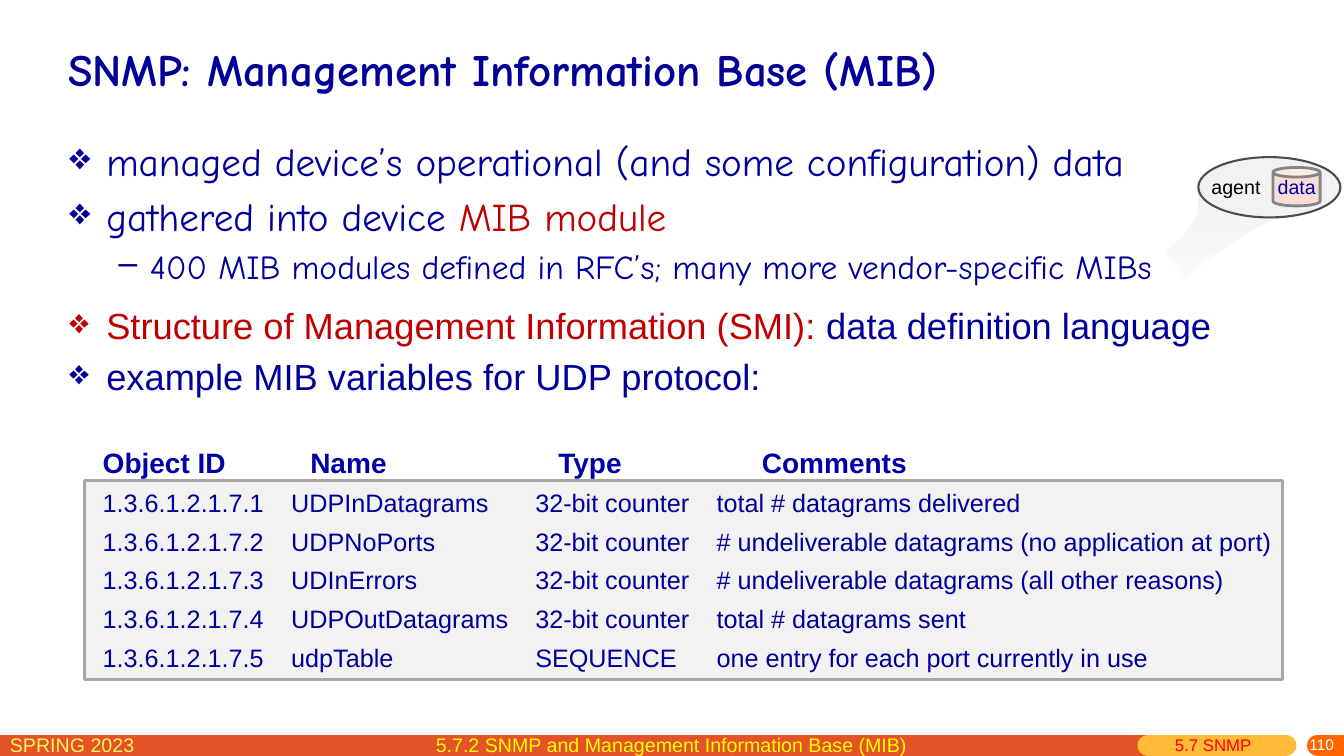
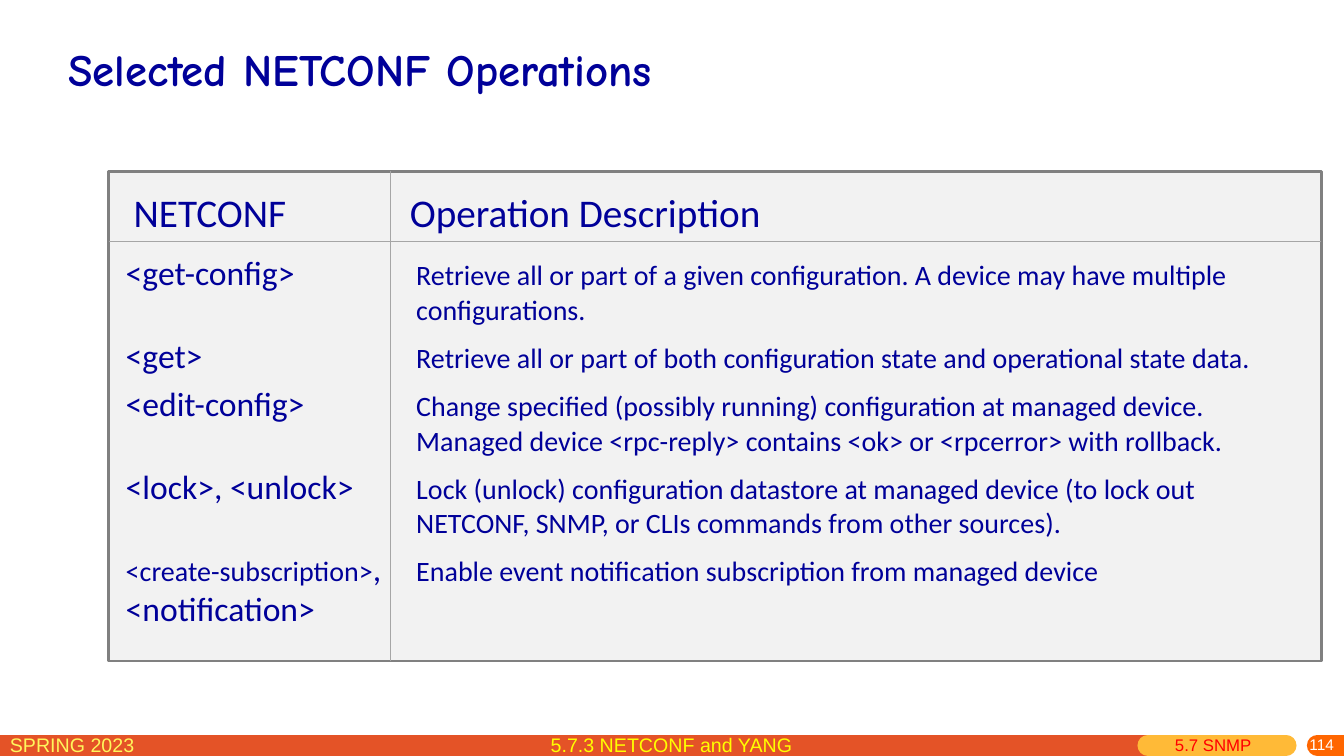
"""Build two slides on network management: the SNMP MIB and NETCONF operations."""
from lxml import etree
from pptx import Presentation
from pptx.dml.color import RGBColor
from pptx.enum.shapes import MSO_CONNECTOR, MSO_SHAPE
from pptx.enum.text import MSO_ANCHOR, PP_ALIGN
from pptx.oxml.ns import qn
from pptx.util import Cm, Pt

LINE = MSO_CONNECTOR.STRAIGHT
RECT, OVAL, CAN = MSO_SHAPE.RECTANGLE, MSO_SHAPE.OVAL, MSO_SHAPE.CAN
TOP, MIDDLE = MSO_ANCHOR.TOP, MSO_ANCHOR.MIDDLE
CENTER, RIGHT = PP_ALIGN.CENTER, PP_ALIGN.RIGHT

NAVY, BLUE, RED = "000099", "0000A8", "C00000"
PALE, GRAY = "F2F2F2", "A6A6A6"
HEAD = dict(size=Pt(32), name="Comic Neue", bold=True, color=NAVY)
BODY = dict(size=Pt(28), name="Comic Neue", color=NAVY)
SUB = BODY | dict(size=Pt(24))
PLAIN = dict(size=Pt(25.9), name="Arial", color=NAVY)
LABEL = dict(size=Pt(14), name="Arial", color=BLUE)
ROW = PLAIN | dict(size=Pt(18))
TERM = dict(size=Pt(24), name="Calibri", color=NAVY)
NOTE = TERM | dict(size=Pt(20))
FIRST = dict(left=0.96, hang=-0.93, bullet="❖", scale=95)
NEXT = FIRST | dict(space_before=Pt(5.5))
DASH = dict(left=2.06, hang=-0.79, bullet="–", scale=100, space_before=Pt(5))


def paint(shape, line, width, fill=None):
    """Set line and fill, and drop the shadow."""
    shape.line.color.rgb = RGBColor.from_string(line)
    shape.line.width = Pt(width)
    if fill:
        shape.fill.solid()
        shape.fill.fore_color.rgb = RGBColor.from_string(fill)
    etree.SubElement(shape._element.spPr, qn("a:effectLst"))


def write(slide, box, paras, anchor=TOP, wrap=True):
    """Add a text box; each paragraph is a format dict and a list of runs."""
    frame = slide.shapes.add_textbox(*map(Cm, box)).text_frame
    frame.word_wrap = wrap
    frame.vertical_anchor = anchor
    for i, (form, runs) in enumerate(paras):
        para = frame.add_paragraph() if i else frame.paragraphs[0]
        form = dict(form)
        props = para._p.get_or_add_pPr()
        for key, name in (("left", "marL"), ("hang", "indent")):
            if key in form:
                props.set(name, str(Cm(form.pop(key))))
        if "bullet" in form:
            scale = form.pop("scale") * 1000
            etree.SubElement(props, qn("a:buSzPct"), val=str(scale))
            etree.SubElement(props, qn("a:buChar"), char=form.pop("bullet"))
        if "tabs" in form:
            stops = etree.SubElement(props, qn("a:tabLst"))
            for stop in form.pop("tabs"):
                etree.SubElement(stops, qn("a:tab"), pos=str(Cm(stop)), algn="l")
        for key, val in form.items():
            setattr(para, key, val)
        for text, look in runs:
            run = para.add_run()
            run.text = text
            for key, val in look.items():
                if key == "color":
                    run.font.color.rgb = RGBColor.from_string(val)
                else:
                    setattr(run.font, key, val)


deck = Presentation()
deck.slide_width, deck.slide_height = Cm(33.87), Cm(19.05)
pages = [
    ("SNMP: Management Information Base (MIB)", "110",
     "5.7.2 SNMP and Management Information Base (MIB)"),
    ("Selected NETCONF Operations", "114", "5.7.3 NETCONF and YANG"),
]
bands = [(0, 28.93, "E45327"), (28.93, 32.41, "FFBA37"), (33.2, 33.87, "FF6600")]
slides = []
for title, number, section in pages:
    slide = deck.slides.add_slide(deck.slide_layouts[6])
    slides.append(slide)
    for start, end, color in bands:
        band = slide.shapes.add_connector(LINE, Cm(start), Cm(18.78), Cm(end), Cm(18.78))
        paint(band, color, 15)
        band.line._get_or_add_ln().set("cap", "rnd")
    write(slide, (1.47, 0.73, 30.94, 2.01), [({}, [(title, HEAD)])], MIDDLE)
    foot = [
        ((0, 18.34, 5.82, 0.79), "SPRING 2023", 14, "FFF65C", {}, TOP),
        ((9.42, 18.34, 15.01, 0.86), section, 14, "FFFF00", dict(alignment=CENTER), TOP),
        ((29.18, 18.39, 2.79, 0.79), "5.7 SNMP", 12, "FF0000", dict(alignment=CENTER), TOP),
        ((27.3, 18.3, 6.57, 0.91), number, 11, "FFFFFF", dict(alignment=RIGHT), MIDDLE),
    ]
    for box, text, size, color, form, anchor in foot:
        look = LABEL | dict(size=Pt(size), color=color)
        write(slide, box, [(form, [(text, look)])], anchor)

mib, ops = slides
write(mib, (1.47, 3.33, 30.94, 4.62), [
    (FIRST, [("managed device’s operational (and some configuration) data", BODY)]),
    (NEXT, [("gathered into device ", BODY), ("MIB module", BODY | dict(color=RED))]),
    (DASH, [("400 MIB modules defined in RFC’s; many more vendor-specific MIBs", SUB)]),
])
write(mib, (1.47, 7.52, 29.92, 2.79), [
    (FIRST, [("Structure of Management Information (SMI): ", PLAIN | dict(color=RED)),
             ("data definition language", PLAIN)]),
    (NEXT, [("example MIB variables for UDP protocol:", PLAIN)]),
])

panel = mib.shapes.add_shape(RECT, Cm(2.13), Cm(12.1), Cm(30.2), Cm(5.03))
paint(panel, GRAY, 2, PALE)
heads = "Object ID", "Name", "Type", "Comments"
rows = [
    ("UDPInDatagrams", "32-bit counter", "total # datagrams delivered"),
    ("UDPNoPorts", "32-bit counter", "# undeliverable datagrams (no application at port)"),
    ("UDInErrors", "32-bit counter", "# undeliverable datagrams (all other reasons)"),
    ("UDPOutDatagrams", "32-bit counter", "total # datagrams sent"),
    ("udpTable", "SEQUENCE", "one entry for each port currently in use"),
]
bold = LABEL | dict(size=Pt(20), bold=True)
paras = [(dict(tabs=(5.23, 11.48, 16.61)), [("\t".join(heads), bold)])]
for i, row in enumerate(rows, 1):
    form = dict(tabs=(4.75, 10.9, 15.47), space_before=Pt(6))
    paras.append((form, [("\t".join((f"1.3.6.1.2.1.7.{i}", *row)), ROW)]))
write(mib, (2.34, 11.1, 30.61, 6.02), paras)

curves = [
    ((29.39, 6.32), (30.28, 5.61), (30.23, 5.33), (30.18, 4.55)),
    ((33.86, 4.78), (31.67, 5.66), (31.12, 5.94), (29.85, 7.04)),
]
points = []
for curve in curves:
    for t in (step / 12 for step in range(13)):
        parts = (1 - t) ** 3, 3 * t * (1 - t) ** 2, 3 * t * t * (1 - t), t ** 3
        points.append([Cm(sum(w * p[axis] for w, p in zip(parts, curve))) for axis in (0, 1)])
outline = mib.shapes.build_freeform(*points[0], scale=1.0)
outline.add_line_segments(points[1:], close=True)
beam = outline.convert_to_shape()
beam.shadow.inherit = False
beam.line.fill.background()
beam.fill.gradient()
beam.fill.gradient_angle = 90
for stop, color, place in zip(beam.fill.gradient_stops, ("FAFAFA", PALE), (0, 0.99)):
    stop.color.rgb = RGBColor.from_string(color)
    stop.position = place

icons = [
    (OVAL, (30.2, 3.96, 3.58, 1.52), "4C4C4C", 1.5, PALE,
     "agent", (30.28, 4.29, 1.75, 0.86), "000000"),
    (CAN, (32.08, 4.22, 1.19, 0.97), "858585", 2, "FADDD4",
     "data", (31.95, 4.29, 1.47, 0.86), BLUE),
]
for kind, box, line, width, fill, text, place, color in icons:
    paint(mib.shapes.add_shape(kind, *map(Cm, box)), line, width, fill)
    write(mib, place, [({}, [(text, LABEL | dict(color=color))])], wrap=False)

panel = ops.shapes.add_shape(RECT, Cm(2.74), Cm(4.32), Cm(30.56), Cm(12.34))
paint(panel, "808080", 2, PALE)
items = [
    ("<get-config>", "Retrieve all or part of a given configuration. "
     "A device may have multiple configurations."),
    ("<get>", "Retrieve all or part of both configuration state and operational state data."),
    ("<edit-config>", "Change specified (possibly running) configuration at managed device. "
     "Managed device <rpc-reply> contains <ok> or <rpcerror> with rollback."),
    ("<lock>, <unlock>", "Lock (unlock) configuration datastore at managed device "
     "(to lock out NETCONF, SNMP, or CLIs commands from other sources)."),
]
hang = dict(left=7.32, hang=-7.32)
space = hang | dict(space_before=Pt(6))
paras = [(dict(left=7.16, hang=-6.96, space_after=Pt(12)),
          [("NETCONF\tOperation Description", TERM | dict(size=Pt(28)))])]
for i, (term, note) in enumerate(items):
    paras.append((space if i else hang, [(term + "\t", TERM), (note, NOTE)]))
paras += [
    (space, [("<create-subscription>", NOTE), (",\t", TERM),
             ("Enable event notification subscription from managed device", NOTE)]),
    (hang, [("<notification>", TERM)]),
]
write(ops, (2.92, 4.62, 29.82, 11.46), paras)
for ends in ((2.74, 6.08, 33.3, 6.08), (9.84, 4.32, 9.84, 16.66)):
    paint(ops.shapes.add_connector(LINE, *map(Cm, ends)), GRAY, 0.75)

deck.save("out.pptx")
